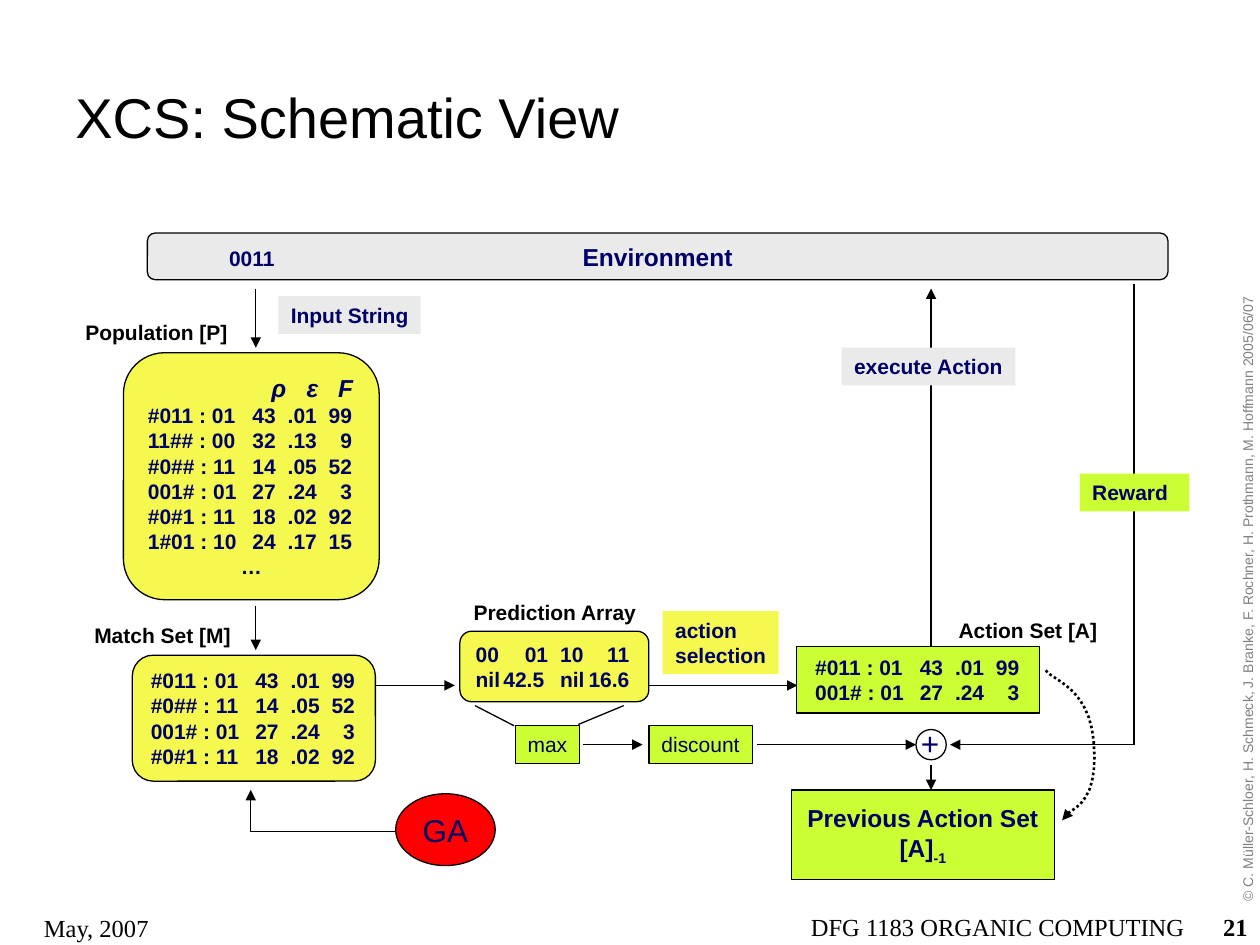
from lxml.etree import SubElement
from pptx import Presentation
from pptx.dml.color import RGBColor
from pptx.enum.dml import MSO_LINE
from pptx.enum.shapes import MSO_CONNECTOR, MSO_SHAPE as SHAPE
from pptx.enum.text import MSO_ANCHOR as ANCHOR, PP_ALIGN as ALIGN
from pptx.oxml.ns import qn
from pptx.util import Inches, Pt

rgb = RGBColor.from_string
NAVY, BLACK, GRAY = "000066", "000000", "808080"
YELLOW, LIME, SILVER, RED = "F5F94F", "CCFF33", "EAEAEA", "FF0000"
ROUND, RECT, OVAL = SHAPE.ROUNDED_RECTANGLE, SHAPE.RECTANGLE, SHAPE.OVAL
LEFT, CENTER, RIGHT = ALIGN.LEFT, ALIGN.CENTER, ALIGN.RIGHT

prs = Presentation()
prs.slide_width, prs.slide_height = Inches(10), Inches(7.5)
s = prs.slides.add_slide(prs.slide_layouts[6])
CELL = prs.slide_width // 100  # the slide is a grid of 100 columns by 75 rows


def add_box(at, text="", kind=None, fill=None, line=False, size=12, bold=True,
            color=NAVY, align=LEFT, font="Arial", wrap=False, tabs=(), inset=1):
    """Add a shape, or a text box if kind is None; tabs are (column, l or r)."""
    place = [int(v * CELL) for v in at]
    if kind is None:
        sp = s.shapes.add_textbox(*place)
    else:
        sp = s.shapes.add_shape(kind, *place)
        sp.shadow.inherit = False
        if fill:
            sp.fill.solid()
            sp.fill.fore_color.rgb = rgb(fill)
        else:
            sp.fill.background()
        if line:
            sp.line.color.rgb, sp.line.width = rgb(BLACK), Pt(0.75)
        else:
            sp.line.fill.background()
    tf = sp.text_frame
    tf.word_wrap = wrap
    tf.vertical_anchor = ANCHOR.MIDDLE if line else ANCHOR.TOP
    tf.margin_left, tf.margin_right = int(inset * CELL), CELL
    tf.margin_top = tf.margin_bottom = CELL // 2
    for i, row in enumerate(text.split("\n")):
        p = tf.paragraphs[0] if i == 0 else tf.add_paragraph()
        p.alignment = LEFT if "\t" in row else align
        if "\t" in row:
            # one list of stops for all rows, or one list for each row
            stops = tabs[i] if isinstance(tabs, list) else tabs
            tab_list = SubElement(p._p.get_or_add_pPr(), qn("a:tabLst"))
            for column, side in stops:
                SubElement(tab_list, qn("a:tab"), pos=str(int(column * CELL)), algn=side)
        r = p.add_run()
        r.text = row
        r.font.name, r.font.size, r.font.bold = font, Pt(size), bold
        r.font.color.rgb = rgb(color)
    return sp


def add_path(points, arrow=True, width=0.75, dash=None):
    """Draw a connector between two points, or an open outline through more."""
    pts = [(int(x * CELL), int(y * CELL)) for x, y in points]
    if len(pts) == 2:
        sp = s.shapes.add_connector(MSO_CONNECTOR.STRAIGHT, *pts[0], *pts[1])
        SubElement(sp._element.spPr, qn("a:effectLst"))
    else:
        builder = s.shapes.build_freeform(*pts[0])
        builder.add_line_segments(pts[1:], close=False)
        sp = builder.convert_to_shape()
        sp.shadow.inherit = False
        sp.fill.background()
    sp.line.color.rgb, sp.line.width = rgb(BLACK), Pt(width)
    if dash:
        sp.line.dash_style = dash
    if arrow:
        SubElement(sp.line._get_or_add_ln(), qn("a:tailEnd"), type="triangle")


# Title, credit and footer
add_box((5, 3, 58.8, 12.5), "XCS: Schematic View", size=32, bold=False, color=BLACK,
        wrap=True).text_frame.vertical_anchor = ANCHOR.MIDDLE
sp = add_box((73.8, 46.6, 50.3, 2.2), "© C. Müller-Schloer, H. Schmeck, J. Branke, "
             "F. Rochner, H. Prothmann, M. Hoffmann 2005/06/07",
             size=8, bold=False, color=GRAY, align=RIGHT)
sp.rotation = 270
for at, text, align, bold in [
    ((48.9, 71.9, 46.1, 3.1), "DFG 1183 ORGANIC COMPUTING", RIGHT, False),
    ((76.7, 71.9, 23.3, 3.1), "21", RIGHT, True),
    ((2.5, 72, 23.3, 3), "May, 2007", LEFT, False),
]:
    add_box(at, text, size=14, bold=bold, color=BLACK, align=align,
            font="Times New Roman", wrap=True)

# Flow lines
IN_X, OUT_X, REWARD_X, ROW_Y, SUM_Y = 20.3, 73.9, 90, 54.4, 59.1
for points in [
    [(IN_X, 22.9), (IN_X, 27.6)],
    [(IN_X, 48.1), (IN_X, 51.6)],
    [(29.8, ROW_Y), (36.1, ROW_Y)],
    [(51.4, ROW_Y), (63.3, ROW_Y)],
    [(OUT_X, 51.3), (OUT_X, 22.9)],
    [(REWARD_X, SUM_Y), (75.4, SUM_Y)],
    [(46.3, SUM_Y), (51, SUM_Y)],
    [(60.1, SUM_Y), (72.7, SUM_Y)],
    [(OUT_X, 60.7), (OUT_X, 62.7)],
    [(31.7, 66), (19.9, 66), (19.9, 62.7)],
]:
    add_path(points)
for points in [
    [(37.7, 56), (40.8, 57.6)],
    [(49.5, 56), (45.9, 57.5)],
    [(REWARD_X, 22.5), (REWARD_X, SUM_Y)],
]:
    add_path(points, arrow=False)

# Dotted curve from the action set to the previous one: two cubic Béziers
curve = [(83, 53.2)]
STEPS = 12
for controls in [
    [(83, 53.2), (83.5, 54), (86.4, 54.5), (86.8, 58.8)],
    [(86.8, 58.8), (87.3, 64.5), (84.6, 64), (84.3, 65.1)],
]:
    for k in range(1, STEPS + 1):
        t = k / STEPS
        weights = [(1 - t) ** 3, 3 * t * (1 - t) ** 2, 3 * t * t * (1 - t), t ** 3]
        curve.append(tuple(sum(w * c[axis] for w, c in zip(weights, controls))
                           for axis in (0, 1)))
add_path(curve, width=1.5, dash=MSO_LINE.ROUND_DOT)

# Environment
add_box((11.7, 18.5, 81, 3.7), "Environment", ROUND, SILVER, True, 14, align=CENTER)
add_box((17.2, 19, 5.7, 3), "0011")

# Classifier sets: condition, prediction, error and fitness columns
RULE_TABS = ((8.3, "l"), (11.1, "l"), (16.2, "r"))
HEAD_TABS = ((9.8, "l"), (12.6, "l"), (16.3, "r"))
population = [
    "#011 : 01\t43\t.01\t99",
    "11## : 00\t32\t.13\t9",
    "#0## : 11\t14\t.05\t52",
    "001# : 01\t27\t.24\t3",
    "#0#1 : 11\t18\t.02\t92",
    "1#01 : 10\t24\t.17\t15",
]
matched = [population[i] for i in (0, 2, 3, 4)]
acting = [population[i] for i in (0, 3)]
sp = add_box((9.8, 28, 20.3, 19.6), "\n".join(["\tρ\tε\tF", *population, "…"]),
             ROUND, YELLOW, True, align=CENTER, wrap=True,
             tabs=[HEAD_TABS] + [RULE_TABS] * len(population))
r = sp.text_frame.paragraphs[0].runs[0]
r.font.size, r.font.italic = Pt(14), True
add_box((10.5, 52, 19.3, 10), "\n".join(matched), ROUND, YELLOW, True,
        wrap=True, tabs=RULE_TABS)
add_box((63.2, 51.3, 19.3, 5.3), "\n".join(acting), RECT, LIME, True,
        wrap=True, tabs=RULE_TABS, inset=1.5)
add_box((36.5, 50.1, 15, 5.6), "00\t01\t10\t11\nnil\t42.5\tnil\t16.6", ROUND, YELLOW,
        True, wrap=True, tabs=[((3.9, "l"), (6.7, "l"), (12.2, "r")),
                               ((2.2, "l"), (6.7, "l"), (12.2, "r"))])

# Operators
add_box((40.9, 57.6, 5.1, 3), "max", RECT, LIME, True, bold=False, align=CENTER)
add_box((51.5, 57.6, 8.2, 3), "discount", RECT, LIME, True, bold=False, align=CENTER)
add_box((31.4, 63, 7.9, 5.7), "GA", OVAL, RED, True, 18, False, align=CENTER)
add_box((72.1, 57, 3.4, 4), "+", size=18, bold=False)
add_box((72.7, 57.9, 2.4, 2.4), kind=OVAL, line=True)
sp = add_box((62.8, 62.7, 20.9, 7.1), "Previous Action Set\n[A]", RECT, LIME, True, 14,
             align=CENTER)
r = sp.text_frame.paragraphs[1].add_run()
r.text = "-1"
r.font.name, r.font.size, r.font.bold = "Arial", Pt(14), True
r.font.color.rgb = rgb(NAVY)
r.font._element.set("baseline", "-25000")

# Labels
for at, text, fill in [
    ((66.8, 27.6, 13.8, 3), "execute Action", SILVER),
    ((22.1, 23.5, 11.3, 3), "Input String", SILVER),
    ((52.6, 48.5, 9.2, 5), "action\nselection", YELLOW),
    ((85.7, 37.6, 8.7, 3), "Reward", LIME),
]:
    add_box(at, text, RECT, fill, wrap=text == "Reward")
for at, text in [
    ((5.8, 24.9, 13.3, 3), "Population [P]"),
    ((6.5, 48.9, 12.8, 3), "Match Set [M]"),
    ((36.6, 47.1, 14.9, 3), "Prediction Array"),
    ((75.1, 48.5, 13, 3), "Action Set [A]"),
]:
    add_box(at, text, color=BLACK)

prs.save("out.pptx")
